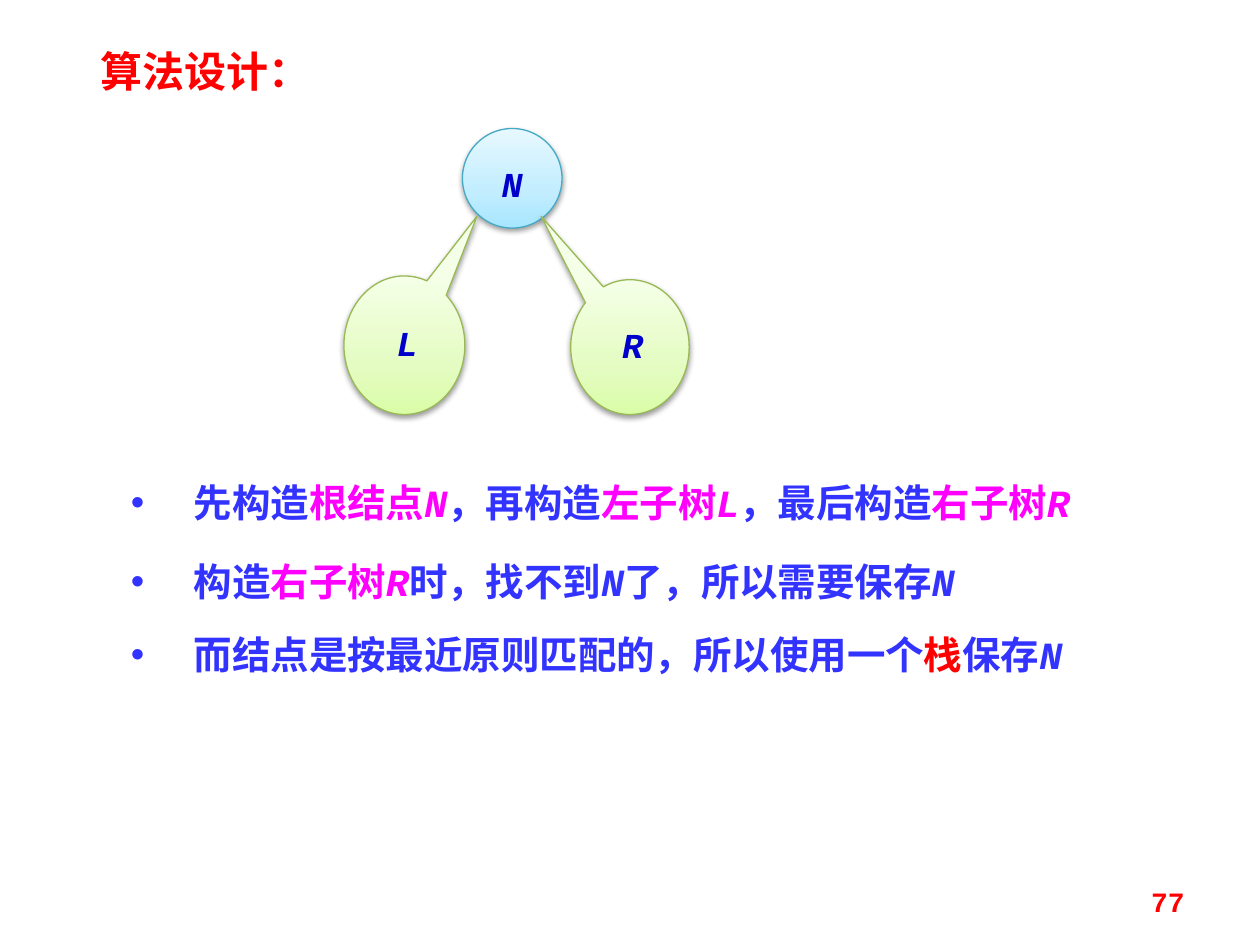
from pptx import Presentation
from pptx.dml.color import RGBColor
from pptx.enum.shapes import MSO_SHAPE
from pptx.enum.text import MSO_ANCHOR, PP_ALIGN
from pptx.oxml import parse_xml
from pptx.oxml.ns import nsdecls
from pptx.util import Inches, Pt

OVAL, BUBBLE = MSO_SHAPE.OVAL, MSO_SHAPE.OVAL_CALLOUT
LEFT, MID, RIGHT = PP_ALIGN.LEFT, PP_ALIGN.CENTER, PP_ALIGN.RIGHT
TOP, CENTRE = MSO_ANCHOR.TOP, MSO_ANCHOR.MIDDLE
COLS, ROWS, CELL = 100, 75, Inches(0.1)
MONO, HAN = "Courier New", "Noto Sans CJK SC"
HUES = {
    "red": "FF0000", "blue": "3333FF", "navy": "0000CC", "pink": "FF00FF",
    "sky": "46AAC5", "leaf": "98B955",
}
FADES = {  # position in percent and colour, from the bottom up
    "sky": [(0, "A7E6FF"), (35, "C1EDFF"), (100, "E7F8FF")],
    "leaf": [(0, "DAFDA7"), (35, "E4FCC2"), (100, "F5FFE7")],
}


def hue(name):
    return RGBColor.from_string(HUES[name])


def write(frame, spans, size=22, font=MONO, align=LEFT, anchor=TOP,
          wrap=True, slant=True, bullet=False):
    """Fill a frame with (text, colour) spans; Latin symbols are slanted."""
    frame.word_wrap = wrap
    frame.vertical_anchor = anchor
    para = frame.paragraphs[0]
    para.alignment = align
    if bullet:
        props = para._p.get_or_add_pPr()
        props.set("marL", str(Inches(0.5)))
        props.set("indent", str(-Inches(0.5)))
        props.append(parse_xml(f'<a:buFont {nsdecls("a")} typeface="Arial"/>'))
        props.append(parse_xml(f'<a:buChar {nsdecls("a")} char="•"/>'))
    for text, tint in spans:
        run = para.add_run()
        run.text = text
        run.font.size, run.font.name, run.font.bold = Pt(size), font, True
        run.font.italic = slant and text.isascii()
        run.font.color.rgb = hue(tint)
        run._r.get_or_add_rPr().append(
            parse_xml(f'<a:ea {nsdecls("a")} typeface="{HAN}"/>'))


class Board:
    """Draws on one slide; lengths are cells of a 100 by 75 grid."""

    def __init__(self):
        self.deck = Presentation()
        self.deck.slide_width = COLS * CELL
        self.deck.slide_height = ROWS * CELL
        self.slide = self.deck.slides.add_slide(self.deck.slide_layouts[6])

    def cells(self, *spots):
        return [round(spot * CELL) for spot in spots]

    def text(self, spot, spans, **style):
        box = self.slide.shapes.add_textbox(*self.cells(*spot))
        write(box.text_frame, spans, **style)

    def node(self, kind, spot, tone, tip=()):
        """Add a tree node with a gradient and a soft shadow."""
        node = self.slide.shapes.add_shape(kind, *self.cells(*spot))
        for i, value in enumerate(tip):
            node.adjustments[i] = value
        node.line.color.rgb = hue(tone)
        node.line.width = Pt(0.75)
        stops = "".join(
            f'<a:gs pos="{pos * 1000}"><a:srgbClr val="{tint}"/></a:gs>'
            for pos, tint in FADES[tone])
        props = node._element.spPr
        props.prstGeom.addnext(parse_xml(
            f'<a:gradFill {nsdecls("a")} rotWithShape="1"><a:gsLst>{stops}'
            '</a:gsLst><a:lin ang="16200000" scaled="0"/></a:gradFill>'))
        props.append(parse_xml(
            f'<a:effectLst {nsdecls("a")}><a:outerShdw blurRad="40000" '
            'dist="20000" dir="5400000" rotWithShape="0">'
            '<a:srgbClr val="000000"><a:alpha val="38000"/></a:srgbClr>'
            '</a:outerShdw></a:effectLst>'))
        return node


def main():
    board = Board()

    # Title
    board.text((7, 3.1, 20.6, 5), [("算法设计：", "red")], size=24, font=HAN)

    # Tree: root and its two subtrees
    root = board.node(OVAL, (36.7, 10.2, 7.9, 7.9), "sky")
    frame = root.text_frame
    frame.margin_left = frame.margin_right = frame.margin_bottom = 0
    frame.margin_top = Inches(0.08)
    write(frame, [("N", "navy")], size=20, align=MID, anchor=CENTRE)
    board.node(BUBBLE, (27.3, 21.9, 9.6, 11), "leaf", (0.6, -0.93))
    board.node(BUBBLE, (45.3, 22.2, 9.4, 10.7), "leaf", (-0.75, -0.97))
    for name, left, top in (("L", 30.5, 25), ("R", 48.4, 25.2)):
        board.text((left, top, 3.6, 4.4), [(name, "navy")], size=20, wrap=False)

    # Steps
    steps = [
        (37.5, [("先构造", "blue"), ("根结点", "pink"), ("N", "pink"),
                ("，再构造", "blue"), ("左子树", "pink"), ("L", "pink"),
                ("，最后构造", "blue"), ("右子树", "pink"), ("R", "pink")]),
        (43.8, [("构造", "blue"), ("右子树", "pink"), ("R", "pink"),
                ("时，找不到", "blue"), ("N", "blue"),
                ("了，所以需要保存", "blue"), ("N", "blue")]),
        (49.6, [("而结点是按最近原则匹配的，所以使用一个", "blue"),
                ("栈", "red"), ("保存", "blue"), ("N", "blue")]),
    ]
    for top, spans in steps:
        board.text((9.4, top, 83.6, 4.7), spans, bullet=True)

    # Page number
    board.text((71.7, 69.5, 23.3, 4), [("77", "red")], size=16, align=RIGHT,
               anchor=CENTRE, slant=False)

    board.deck.save("out.pptx")


if __name__ == "__main__":
    main()
